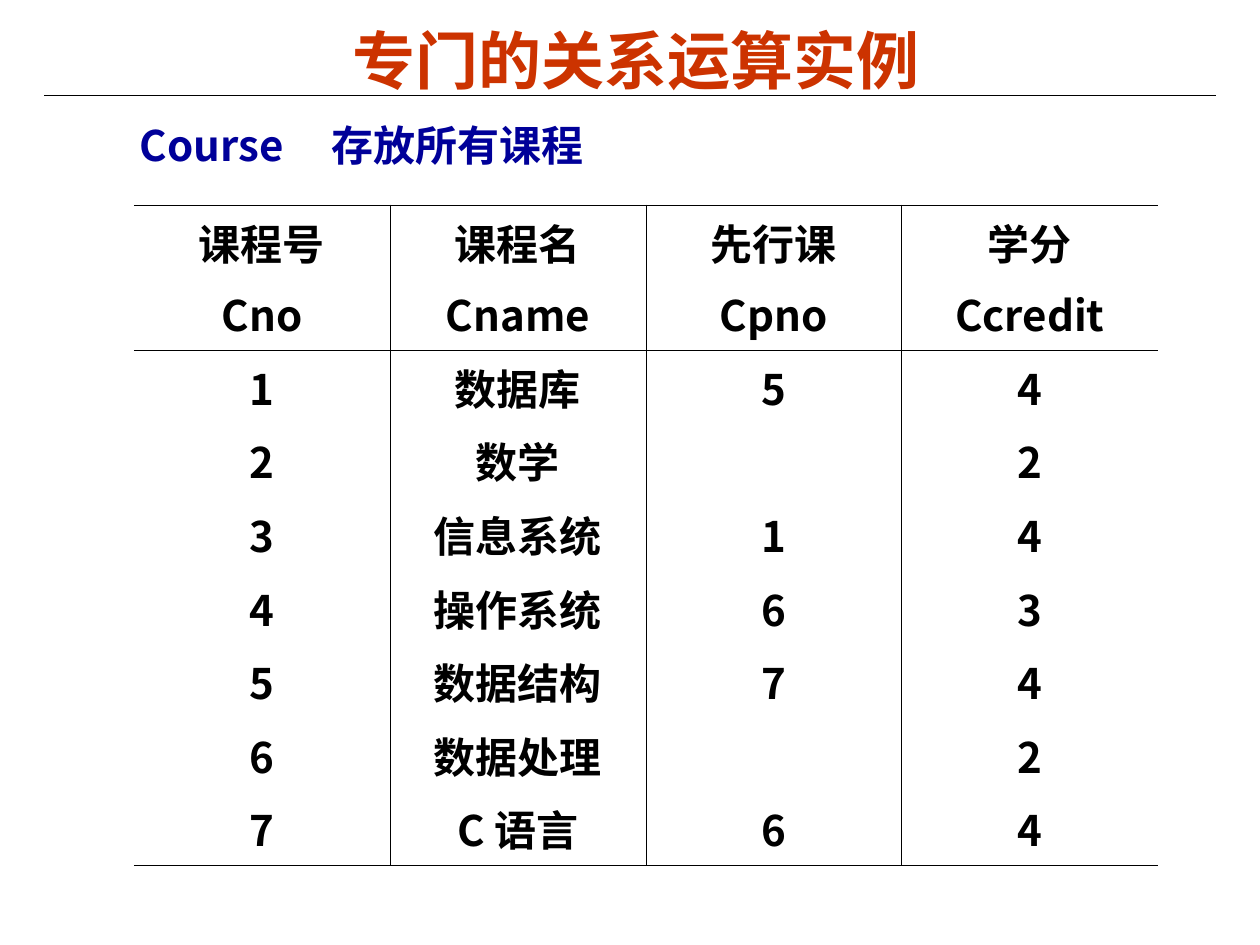
from dataclasses import dataclass

from lxml.etree import SubElement
from pptx import Presentation
from pptx.dml.color import RGBColor as RGB
from pptx.enum.shapes import MSO_CONNECTOR as Connector
from pptx.enum.text import MSO_ANCHOR as Anchor, MSO_AUTO_SIZE as AutoSize, PP_ALIGN as Align
from pptx.oxml import parse_xml
from pptx.oxml.ns import nsdecls, qn
from pptx.util import Cm, Pt


@dataclass(frozen=True)
class Theme:
    font: str = "Noto Sans CJK SC"
    title_color: RGB = RGB(0xCC, 0x33, 0x00)
    caption_color: RGB = RGB(0x00, 0x00, 0x99)
    ink: RGB = RGB(0x00, 0x00, 0x00)
    title_size: Pt = Pt(36)
    body_size: Pt = Pt(24)
    rule: Pt = Pt(0.75)
    thin: Pt = Pt(0.45)
    thick: Pt = Pt(1.08)


theme = Theme()


def write(paragraph, text, size, color):
    """Add one bold run, with the theme font for Latin and Chinese alike."""
    run = paragraph.add_run()
    run.text = text
    for name, value in {"size": size, "bold": True, "name": theme.font}.items():
        setattr(run.font, name, value)
    run.font.color.rgb = color
    SubElement(run.font._element, qn("a:ea"), typeface=theme.font)


def set_borders(cell, widths):
    """Draw the sides L, R, T, B in the given widths; None hides a side."""
    properties = cell._tc.get_or_add_tcPr()
    for position, (side, width) in enumerate(widths.items()):
        paint = f'<a:solidFill><a:srgbClr val="{theme.ink}"/></a:solidFill>' if width else "<a:noFill/>"
        border = f'<a:ln{side} {nsdecls("a")} w="{width or 0}">{paint}</a:ln{side}>'
        properties.insert(position, parse_xml(border))


presentation = Presentation()
presentation.slide_width, presentation.slide_height = Cm(25.4), Cm(19.05)
slide = presentation.slides.add_slide(presentation.slide_layouts[5])

# Heading and the rule below it
heading = slide.shapes.title
heading_box = {"left": Cm(2.57), "top": Cm(0.41), "width": Cm(20.52), "height": Cm(1.57)}
for name, value in heading_box.items():
    setattr(heading, name, value)
heading.text_frame.auto_size = AutoSize.NONE
heading.text_frame.vertical_anchor = Anchor.MIDDLE
heading_line = heading.text_frame.paragraphs[0]
heading_line.alignment = Align.CENTER
write(heading_line, "专门的关系运算实例", theme.title_size, theme.title_color)

rule = slide.shapes.add_connector(Connector.STRAIGHT, Cm(0.89), Cm(1.93), Cm(24.51), Cm(1.93))
rule.line.color.rgb = theme.ink
rule.line.width = theme.rule
SubElement(rule._element.spPr, qn("a:effectLst"))

# Course table
header = ["课程号\nCno", "课程名\nCname", "先行课\nCpno", "学分\nCcredit"]
courses = [
    ["1", "数据库", "5", "4"],
    ["2", "数学", "", "2"],
    ["3", "信息系统", "1", "4"],
    ["4", "操作系统", "6", "3"],
    ["5", "数据结构", "7", "4"],
    ["6", "数据处理", "", "2"],
    ["7", "C 语言", "6", "4"],
]
records = [header] + courses
last_row, last_column = len(records) - 1, len(header) - 1
course_table = slide.shapes.add_table(
    len(records), len(header), Cm(2.7), Cm(4.14), Cm(20.64), Cm(11.43)
).table
course_table.first_row = course_table.horz_banding = False
for row in course_table.rows:
    row.height = Cm(1.27)
course_table.rows[0].height = Cm(2.54)

for r, record in enumerate(records):
    for c, content in enumerate(record):
        cell = course_table.cell(r, c)
        cell.fill.background()
        set_borders(cell, {
            "L": theme.thin if c > 0 else None,
            "R": theme.thin if c < last_column else None,
            "T": {0: theme.thick, 1: theme.thin}.get(r),
            "B": {0: theme.thin, last_row: theme.thick}.get(r),
        })
        for i, line in enumerate(content.split("\n")):
            paragraph = cell.text_frame.add_paragraph() if i else cell.text_frame.paragraphs[0]
            paragraph.alignment = Align.CENTER
            if i:
                paragraph.space_before = Pt(6)
            if line:
                write(paragraph, line, theme.body_size, theme.ink)

# Caption above the table, its two parts set apart by a tab stop
caption = slide.shapes.add_textbox(Cm(2.57), Cm(2.29), Cm(20.5), Cm(1.27)).text_frame
caption.word_wrap = True
caption.auto_size = AutoSize.SHAPE_TO_FIT_TEXT
caption_line = caption.paragraphs[0]
tab_stops = SubElement(caption_line._p.get_or_add_pPr(), qn("a:tabLst"))
SubElement(tab_stops, qn("a:tab"), pos=str(Cm(3.86)), algn="l")
write(caption_line, "Course\t存放所有课程", theme.body_size, theme.caption_color)

presentation.save("out.pptx")
